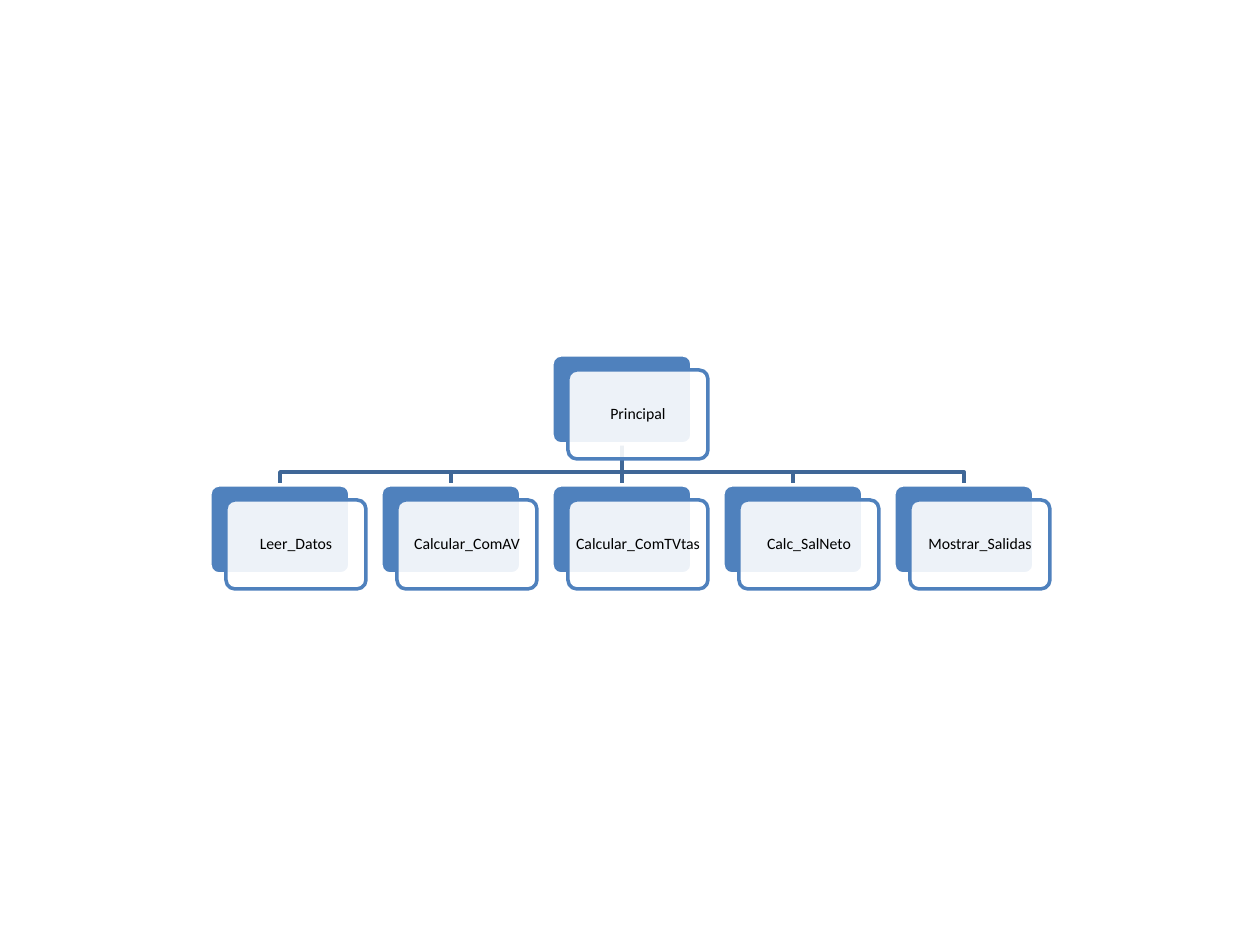
from dataclasses import dataclass

from lxml.etree import SubElement
from pptx import Presentation
from pptx.dml.color import RGBColor
from pptx.enum.shapes import MSO_CONNECTOR as Conn, MSO_SHAPE as Kind
from pptx.enum.text import MSO_ANCHOR as Anchor, PP_ALIGN as Align
from pptx.oxml.ns import qn
from pptx.util import Inches, Pt

PX = Inches(1) / 126
BLUE = RGBColor(0x4F, 0x81, 0xBD)
NAVY = RGBColor(0x3F, 0x67, 0x97)
WHITE = RGBColor(0xFF, 0xFF, 0xFF)
BLACK = RGBColor(0, 0, 0)

WIDTH, HEIGHT = 140, 89
SHIFT_X, SHIFT_Y = 16, 15
LEFT, STEP = 210, 171
ROOT_TOP, LEAF_TOP, BEND = 355, 485, 472
LEAVES = ["Leer_Datos", "Calcular_ComAV", "Calcular_ComTVtas",
          "Calc_SalNeto", "Mostrar_Salidas"]


@dataclass
class Card:
    label: str
    left: int
    top: int

    @property
    def mid(self) -> int:
        return self.left + WIDTH // 2


def emu(px: int) -> int:
    return round(px * PX)


def put_text(shape, text: str, *, size: int = 9, color: RGBColor = BLACK,
             font: str = "Calibri", inset: int = 5) -> None:
    frame = shape.text_frame
    frame.word_wrap = False
    frame.vertical_anchor = Anchor.MIDDLE
    frame.margin_left = frame.margin_right = emu(inset)
    frame.margin_top = frame.margin_bottom = emu(inset)
    para = frame.paragraphs[0]
    para.alignment = Align.CENTER
    para.line_spacing = 0.9
    run = para.add_run()
    run.text = text
    run.font.size, run.font.name = Pt(size), font
    run.font.color.rgb = color


def set_line(shape, color: RGBColor) -> None:
    shape.line.color.rgb = color
    shape.line.width = Pt(2)


def add_panel(shapes, left: int, top: int, fill: RGBColor, edge: RGBColor):
    panel = shapes.add_shape(Kind.ROUNDED_RECTANGLE, emu(left), emu(top),
                             emu(WIDTH), emu(HEIGHT))
    panel.adjustments[0] = 0.1
    panel.shadow.inherit = False
    panel.fill.solid()
    panel.fill.fore_color.rgb = fill
    set_line(panel, edge)
    return panel


def add_card(shapes, card: Card):
    """Draw a blue panel under a translucent labelled one; return the blue one."""
    back = add_panel(shapes, card.left, card.top, BLUE, WHITE)
    front = add_panel(shapes, card.left + SHIFT_X, card.top + SHIFT_Y,
                      WHITE, BLUE)
    tint = front.fill._xPr.find(qn("a:solidFill"))[0]
    SubElement(tint, qn("a:alpha")).set("val", "90000")
    put_text(front, card.label)
    return back


def add_branch(shapes, root: Card, leaf: Card) -> None:
    pen = shapes.build_freeform(root.mid, root.top + HEIGHT, scale=PX)
    pen.add_line_segments([(root.mid, BEND), (leaf.mid, BEND),
                           (leaf.mid, leaf.top)], close=False)
    branch = pen.convert_to_shape()
    branch.fill.background()
    branch.shadow.inherit = False
    set_line(branch, NAVY)


def add_stem(shapes, root: Card, leaf: Card):
    stem = shapes.add_connector(Conn.STRAIGHT, emu(root.mid),
                                emu(root.top + HEIGHT),
                                emu(leaf.mid), emu(leaf.top))
    set_line(stem, NAVY)
    SubElement(stem._element.spPr, qn("a:effectLst"))
    return stem


def main() -> None:
    deck = Presentation()
    deck.slide_width, deck.slide_height = Inches(10), Inches(7.5)
    shapes = deck.slides.add_slide(deck.slide_layouts[6]).shapes

    leaves = [Card(name, LEFT + i * STEP, LEAF_TOP)
              for i, name in enumerate(LEAVES)]
    center = len(leaves) // 2
    root = Card("Principal", leaves[center].left, ROOT_TOP)

    for leaf in leaves:
        if leaf.mid != root.mid:
            add_branch(shapes, root, leaf)
    stem = add_stem(shapes, root, leaves[center])

    top = add_card(shapes, root)
    backs = [add_card(shapes, leaf) for leaf in leaves]
    stem.begin_connect(top, 2)
    stem.end_connect(backs[center], 0)

    deck.save("out.pptx")


if __name__ == "__main__":
    main()
